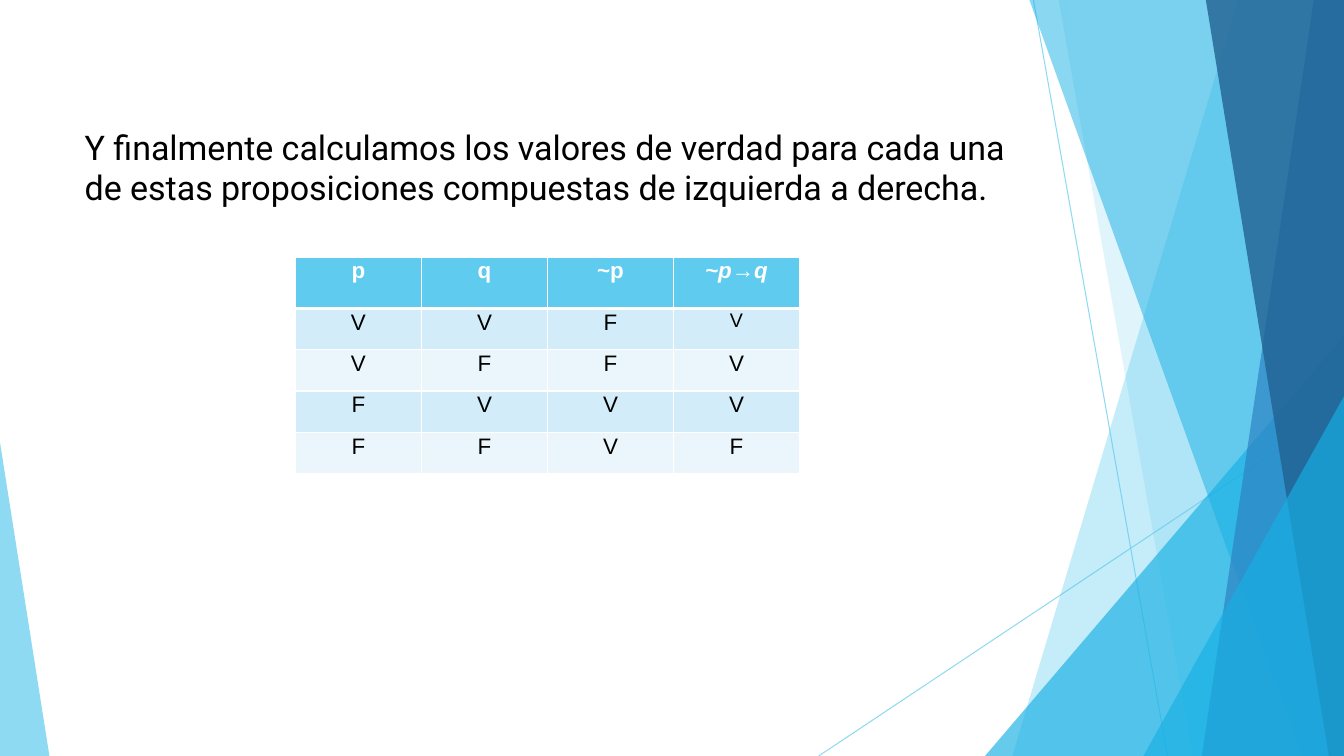
from lxml.etree import SubElement
from pptx import Presentation
from pptx.dml.color import RGBColor
from pptx.enum.shapes import MSO_CONNECTOR, MSO_SHAPE
from pptx.enum.text import MSO_ANCHOR, PP_ALIGN
from pptx.oxml.ns import qn
from pptx.util import Inches, Pt

COLORS = {
    "sky": "5FCBEF", "cyan": "17B0E4", "blue": "2E83C3", "navy": "226292",
    "band": "D2ECF9", "pale": "EAF6FC", "white": "FFFFFF", "black": "000000",
}
WIDTH, HEIGHT = 13.33, 7.5
TITLE = ("Y finalmente calculamos los valores de verdad para cada una "
         "de estas proposiciones compuestas de izquierda a derecha.")
TRUTH = ["p q ~p ~p→q", "V V F V", "V F F V", "F V V V", "F F V F"]


class Deck:
    """Hold the presentation, its colours and the current slide."""

    def __init__(self):
        self.prs = Presentation()
        self.prs.slide_width = Inches(WIDTH)
        self.prs.slide_height = Inches(HEIGHT)
        self.s = self.prs.slides.add_slide(self.prs.slide_layouts[5])

    def rgb(self, name):
        return RGBColor.from_string(COLORS[name])

    def fade(self, el, alpha):
        clr = next(el.iter(qn("a:srgbClr")))
        SubElement(clr, qn("a:alpha"), val=str(alpha * 1000))

    def paint(self, sp, color, alpha):
        sp.shadow.inherit = False
        sp.fill.solid()
        sp.fill.fore_color.rgb = self.rgb(color)
        sp.line.fill.background()
        self.fade(sp._element.spPr, alpha)

    def line(self, x1, y1, x2, y2):
        cx = self.s.shapes.add_connector(
            MSO_CONNECTOR.STRAIGHT, *map(Inches, (x1, y1, x2, y2)))
        cx.line.width = Pt(0.75)
        cx.line.color.rgb = self.rgb("sky")
        self.fade(cx._element.spPr, 70)
        SubElement(cx._element.spPr, qn("a:effectLst"))

    def wedge(self, top, bottom, color, alpha):
        points = [(top, 0), (WIDTH, 0), (WIDTH, HEIGHT), (bottom, HEIGHT)]
        (x, y), *rest = [(Inches(a), Inches(b)) for a, b in points]
        fb = self.s.shapes.build_freeform(x, y)
        fb.add_line_segments(rest, close=True)
        self.paint(fb.convert_to_shape(), color, alpha)

    def triangle(self, x, y, w, apex, color, alpha):
        sp = self.s.shapes.add_shape(
            MSO_SHAPE.ISOSCELES_TRIANGLE, *map(Inches, (x, y, w, HEIGHT - y)))
        sp.adjustments[0] = apex
        self.paint(sp, color, alpha)

    def text(self, p, text, color, **font):
        r = p.add_run()
        r.text = text
        r.font.color.rgb = self.rgb(color)
        for name, value in font.items():
            setattr(r.font, name, value)

    def title(self, text, x, y, w, h):
        sp = self.s.shapes.title
        box = {"left": x, "top": y, "width": w, "height": h}
        for name, value in box.items():
            setattr(sp, name, Inches(value))
        tf = sp.text_frame
        tf.word_wrap = True
        tf.vertical_anchor = MSO_ANCHOR.BOTTOM
        p = tf.paragraphs[0]
        p.alignment = PP_ALIGN.LEFT
        self.text(p, text, "black", name="Roboto", size=Pt(24.3))

    def border(self, cell, side, width):
        ln = SubElement(cell._tc.get_or_add_tcPr(), qn("a:ln" + side),
                        w=str(Pt(width)))
        fill = SubElement(ln, qn("a:solidFill"))
        SubElement(fill, qn("a:srgbClr"), val=COLORS["white"])

    def cell(self, cell, text, row, col):
        head = row == 0
        heavy = {(0, "B"), (1, "T")}
        for side in "LRTB":
            self.border(cell, side, 3 if (row, side) in heavy else 1)
        margins = {"margin_left": 0.07, "margin_right": 0.07,
                   "margin_top": 0, "margin_bottom": 0}
        for name, value in margins.items():
            setattr(cell, name, Inches(value))
        cell.fill.solid()
        band = "band" if row % 2 else "pale"
        cell.fill.fore_color.rgb = self.rgb("sky" if head else band)
        p = cell.text_frame.paragraphs[0]
        p.alignment = PP_ALIGN.CENTER
        p.line_spacing = 1.07
        self.text(p, text, "white" if head else "black", name="Arial",
                  size=Pt(14 if (row, col) == (1, 3) else 16),
                  bold=head, italic=head and col == 3)

    def table(self, rows, x, y, col_w, head_h, row_h):
        grid = [row.split() for row in rows]
        n, m = len(grid), len(grid[0])
        size = (x, y, col_w * m, head_h + row_h * (n - 1))
        tbl = self.s.shapes.add_table(n, m, *map(Inches, size)).table
        for col in tbl.columns:
            col.width = Inches(col_w)
        for i, row in enumerate(grid):
            tbl.rows[i].height = Inches(row_h if i else head_h)
            for j, text in enumerate(row):
                self.cell(tbl.cell(i, j), text, i, j)


def main():
    d = Deck()
    d.line(10.25, 0, 11.58, HEIGHT)
    d.line(WIDTH, 4.03, 8.12, HEIGHT)
    d.wedge(12.28, 10.04, "sky", 36)
    d.wedge(10.5, 11.83, "sky", 20)
    d.triangle(9.77, 3.33, 3.56, 1, "cyan", 66)
    d.wedge(10.21, 12.91, "cyan", 50)
    d.wedge(13.03, 11.92, "blue", 70)
    d.wedge(11.96, 13.18, "navy", 80)
    d.triangle(11.34, 3.93, 1.99, 1, "cyan", 66)
    d.triangle(0, 4.39, 0.49, 0, "sky", 70)
    d.title(TITLE, 0.74, 0.67, 9.4, 1.44)
    d.table(TRUTH, 2.93, 2.55, 1.25, 0.51, 0.41)
    d.prs.save("out.pptx")


if __name__ == "__main__":
    main()
